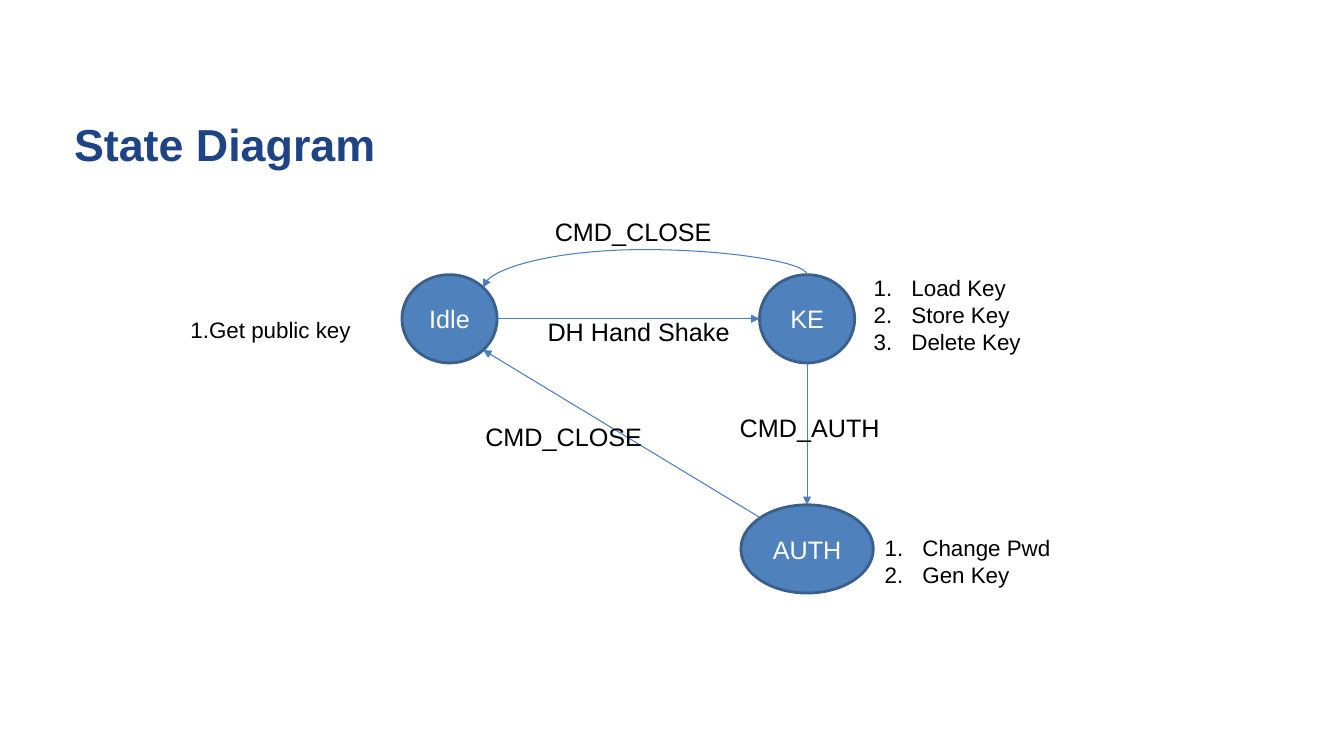
import math
import pptx
import pptx.util
import pptx.dml.color
import pptx.enum.shapes
import pptx.enum.text
import pptx.oxml
import pptx.oxml.ns
from lxml import etree

Pt = pptx.util.Pt
qn = pptx.oxml.ns.qn
CONNECTOR = pptx.enum.shapes.MSO_CONNECTOR
ANCHOR = pptx.enum.text.MSO_ANCHOR

# Content
COLORS = {"title": "1E4485", "state": "4F81BD", "outline": "3A5F8C",
          "arrow": "4B7EBC", "text": "000000", "state_text": "FFFFFF"}
FONT = "Arial"
TITLE = "State Diagram"
STATE_HEIGHT = 63
STATES = {  # name: centre x, centre y, width
    "Idle": (321.1, 227.7, 68),
    "KE": (576.5, 227.7, 68),
    "AUTH": (576.5, 392.1, 94.6),
}
TRANSITIONS = [  # from state, angle, to state, angle (clockwise from right)
    ("Idle", 0, "KE", 180),
    ("KE", 90, "AUTH", 270),
    ("AUTH", 225, "Idle", 45),
]
CLOSE_ARC = ("KE", 270, "Idle", 315)
ARC_RISE = 18
LABELS = [  # text, left, top, width, height, size
    ("1.Get public key", 129, 222.5, 155, 26.6, 16),
    ("DH Hand Shake", 384, 222.5, 145.5, 29, 18),
    ("CMD_AUTH", 521.3, 291, 124.6, 29, 18),
    ("CMD_CLOSE", 389.2, 150.9, 139, 29, 18),
    ("CMD_CLOSE", 339.6, 297.6, 139, 29, 18),
]
ACTIONS = [  # items, left, top, width, height
    (["Load Key", "Store Key", "Delete Key"], 617, 192.2, 155, 65.5),
    (["Change Pwd", "Gen Key"], 624.8, 378.1, 155, 46),
]
LIST_INDENT = 27


def rgb(name):
    return pptx.dml.color.RGBColor.from_string(COLORS[name])


def style(p, size, color, bold=False):
    p.font.name, p.font.size, p.font.bold = FONT, Pt(size), bold
    p.font.color.rgb = rgb(color)


def add_text(lines, left, top, width, height, size, color="text", bold=False):
    tf = s.shapes.add_textbox(Pt(left), Pt(top), Pt(width), Pt(height)).text_frame
    tf.word_wrap = True
    tf.text = "\n".join(lines)
    for p in tf.paragraphs:
        style(p, size, color, bold)
    return tf


def edge_point(state, angle):
    cx, cy, width = STATES[state]
    a = math.radians(angle)
    return cx + width / 2 * math.cos(a), cy + STATE_HEIGHT / 2 * math.sin(a)


def add_arrow(kind, x1, y1, x2, y2):
    c = s.shapes.add_connector(kind, Pt(x1), Pt(y1), Pt(x2), Pt(y2))
    c.line.color.rgb = rgb("arrow")
    c.line.width = Pt(0.75)
    etree.SubElement(c.line._get_or_add_ln(), qn("a:tailEnd"), type="triangle")
    etree.SubElement(c._element.spPr, qn("a:effectLst"))
    return c


prs = pptx.Presentation()
prs.slide_width, prs.slide_height = Pt(960), Pt(540)
s = prs.slides.add_slide(prs.slide_layouts[6])

# Title
tf = add_text([TITLE], 52.9, 71.3, 864, 62.6, 32, "title", True)
tf.vertical_anchor = ANCHOR.MIDDLE
tf.margin_left = tf.margin_right = tf.margin_top = tf.margin_bottom = 0

# States
for name, (cx, cy, width) in STATES.items():
    sp = s.shapes.add_shape(pptx.enum.shapes.MSO_SHAPE.OVAL,
                            Pt(cx - width / 2), Pt(cy - STATE_HEIGHT / 2),
                            Pt(width), Pt(STATE_HEIGHT))
    sp.shadow.inherit = False
    sp.fill.solid()
    sp.fill.fore_color.rgb = rgb("state")
    sp.line.color.rgb = rgb("outline")
    sp.line.width = Pt(2)
    tf = sp.text_frame
    tf.text = name
    tf.vertical_anchor = ANCHOR.MIDDLE
    p = tf.paragraphs[0]
    p.alignment = pptx.enum.text.PP_ALIGN.CENTER
    style(p, 18, "state_text")

# Straight transitions
for start, a1, end, a2 in TRANSITIONS:
    add_arrow(CONNECTOR.STRAIGHT, *edge_point(start, a1), *edge_point(end, a2))

# Curved transition: a quarter-turned connector that bows above both states
start, a1, end, a2 = CLOSE_ARC
(x1, y1), (x2, y2) = edge_point(start, a1), edge_point(end, a2)
span, drop = x1 - x2, y2 - y1
mid_x, mid_y = (x1 + x2) / 2, (y1 + y2) / 2
arc = add_arrow(CONNECTOR.CURVE, mid_x - drop / 2, mid_y - span / 2,
                mid_x + drop / 2, mid_y + span / 2)
xfrm = arc._element.spPr.find(qn("a:xfrm"))
for key, value in (("rot", "16200000"), ("flipH", "1"), ("flipV", "1")):
    xfrm.set(key, value)
geom = arc._element.spPr.find(qn("a:prstGeom"))
guides = geom.find(qn("a:avLst"))
if guides is None:
    guides = etree.SubElement(geom, qn("a:avLst"))
etree.SubElement(guides, qn("a:gd"), name="adj1",
                 fmla=f"val {round(-ARC_RISE / drop * 100000)}")

# Labels
for text, left, top, width, height, size in LABELS:
    add_text([text], left, top, width, height, size)

# Numbered actions
for items, left, top, width, height in ACTIONS:
    for p in add_text(items, left, top, width, height, 16).paragraphs:
        pPr = p._p.get_or_add_pPr()
        pPr.set("marL", str(Pt(LIST_INDENT)))
        pPr.set("indent", str(-Pt(LIST_INDENT)))
        number = pptx.oxml.parse_xml(
            f'<a:buAutoNum {pptx.oxml.ns.nsdecls("a")} type="arabicPeriod"/>')
        pPr.insert(0, number)

prs.save("out.pptx")
